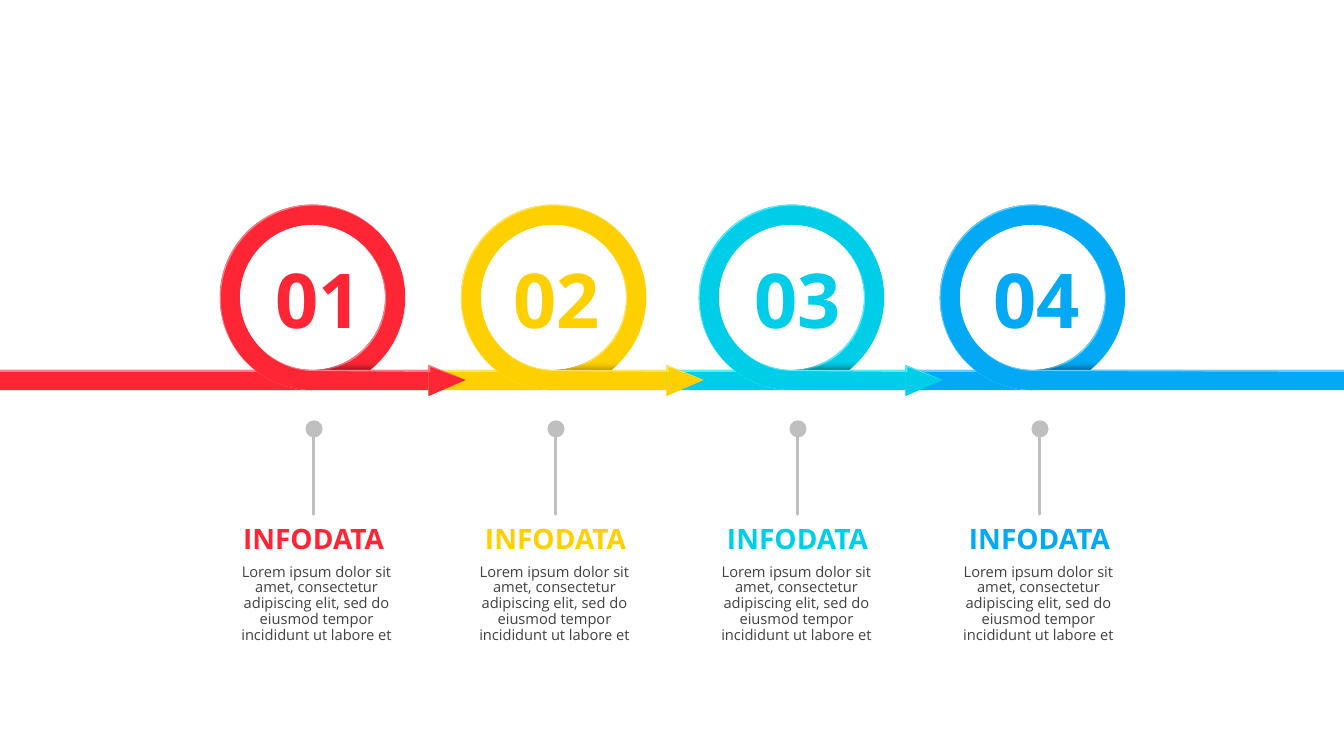
from dataclasses import dataclass
from math import cos, radians, sin, tan

from lxml import etree
from pptx import Presentation
from pptx.dml.color import RGBColor
from pptx.enum.shapes import MSO_CONNECTOR, MSO_SHAPE
from pptx.enum.text import MSO_AUTO_SIZE, PP_ALIGN
from pptx.oxml.ns import qn
from pptx.util import Inches, Pt

STRAIGHT = MSO_CONNECTOR.STRAIGHT
OVAL = MSO_SHAPE.OVAL
CENTER = PP_ALIGN.CENTER
GROW = MSO_AUTO_SIZE.SHAPE_TO_FIT_TEXT


@dataclass(frozen=True)
class Theme:
    font: str = "Open Sans"
    gray: str = "BFBFBF"
    ink: str = "414042"
    number: float = 54
    head: float = 20
    body: float = 10.5
    stem: float = 2.38


@dataclass(frozen=True)
class Step:
    label: str
    color: str
    light: str
    shade: str
    alpha: int
    left: float
    mid: float
    right: float
    num_x: float
    body_x: float


STEPS = [
    Step("01", "FE2635", "FE7D86", "000000", 40, 0, 3.1, 4.25, 3.16, 3.14),
    Step("02", "FFD000", "FFE366", "BF9C00", 100, 4.25, 5.49, 6.61, 5.52, 5.5),
    Step("03", "00CEE8", "58ECFF", "000000", 40, 6.61, 7.85, 8.98, 7.91, 7.9),
    Step("04", "03A9F4", "63CDFD", "000000", 40, 8.98, 10.24, 13.33, 10.28, 10.3),
]
BODY = ("Lorem ipsum dolor sit amet, consectetur adipiscing elit, "
        "sed do eiusmod tempor incididunt ut labore et")

LOOP_Y, OUTER, INNER = 2.95, 0.92, 0.72
TOP, BASE, EDGE = 3.67, 3.87, 3.69
SHIFT = 0.01
PIN_X, PITCH = 3.11, 2.4


def arc(x, y, radius, start, end):
    """Start point, then Bezier triples marked True, split at the quadrants.

    Angles are in degrees, clockwise from the right.
    """
    low, high = sorted((start, end))
    cuts = [a for a in range(-360, 541, 90) if low < a < high]
    turns = [radians(a) for a in sorted([start, *cuts, end], reverse=end < start)]
    points = [(x + radius * cos(turns[0]), y + radius * sin(turns[0]))]
    for a, b in zip(turns, turns[1:]):
        k = 4 / 3 * tan((b - a) / 4)
        bend = [(cos(a) - k * sin(a), sin(a) + k * cos(a)),
                (cos(b) + k * sin(b), sin(b) - k * cos(b)),
                (cos(b), sin(b))]
        points += [(x + radius * u, y + radius * v, True) for u, v in bend]
    return points


def curve(shape, paths):
    """Join the segments marked as Bezier triples into real curves."""
    lines = list(shape._element.iter(qn("a:lnTo")))
    points = [point for path in paths for point in path[1:]]
    marked = [line for line, point in zip(lines, points) if len(point) == 3]
    for i in range(0, len(marked), 3):
        bend = marked[i].makeelement(qn("a:cubicBezTo"))
        marked[i].addprevious(bend)
        for line in marked[i:i + 3]:
            bend.append(line[0])
            line.getparent().remove(line)


def set_alpha(stop, percent):
    color = stop.color._color._xClr
    etree.SubElement(color, qn("a:alpha")).set("val", str(percent * 1000))


class Board:
    def __init__(self, slide, theme):
        self.shapes = slide.shapes
        self.theme = theme

    def paint(self, shape, color):
        shape.shadow.inherit = False
        shape.line.fill.background()
        shape.fill.solid()
        shape.fill.fore_color.rgb = RGBColor.from_string(color)

    def outline(self, color, *paths):
        """Draw closed paths, given in inches, as one filled shape."""
        pen = None
        for path in paths:
            spots = [(Inches(point[0]), Inches(point[1])) for point in path]
            if pen is None:
                pen = self.shapes.build_freeform(*spots[0], scale=1.0)
            else:
                pen.move_to(*spots[0])
            pen.add_line_segments(spots[1:], close=True)
        shape = pen.convert_to_shape()
        curve(shape, paths)
        self.paint(shape, color)
        return shape

    def ribbon(self, step):
        mid, left, right = step.mid, step.left, step.right
        self.outline(step.color, [(left, TOP), *arc(mid, LOOP_Y, OUTER, 128.5, 90),
                                  (left, BASE)])
        self.outline(step.light, [(left, TOP), (mid - 0.57, TOP),
                                  (mid - 0.55, EDGE), (left, EDGE)])
        if step is not STEPS[-1]:
            self.arrow(step)
        self.outline(step.color,
                     [*arc(mid, LOOP_Y, OUTER, 51.5, -270), (right, BASE), (right, TOP)],
                     arc(mid, LOOP_Y, INNER, 90, 450))
        self.shine(step)
        self.fold(step)

    def arrow(self, step):
        x = step.right
        tip = (x + 0.37, 3.77)
        self.outline(step.color, [(x, 3.62), tip, (x, 3.93)])
        self.outline(step.light, [(x, EDGE), (x + 0.02, EDGE), (x + 0.02, 3.64),
                                  tip, (x, 3.62)])

    def shine(self, step):
        """Light edges along the inside and outside of the loop."""
        mid, near = step.mid, step.mid + SHIFT
        low = LOOP_Y + SHIFT
        self.outline(step.light, [*arc(near, low, INNER, 79, -45),
                                  *arc(mid, LOOP_Y, INNER, -45, 135),
                                  *arc(near, low, INNER, 135, 90),
                                  (step.right, EDGE), (step.right, TOP)])
        self.outline(step.light, [*arc(near, low, OUTER, 135, 315),
                                  *arc(mid, LOOP_Y, OUTER, 315, 135)])

    def fold(self, step):
        """Shadow where the loop passes behind the ribbon."""
        shape = self.outline(step.color, [*arc(step.mid, LOOP_Y, OUTER, 51.5, 31.5),
                                          *arc(step.mid, LOOP_Y, INNER, 41.5, 90)])
        shape.fill.gradient()
        shape.fill.gradient_angle = 270
        marks = [(0.62, step.color, 0), (1, step.shade, step.alpha)]
        for stop, (place, color, alpha) in zip(shape.fill.gradient_stops, marks):
            stop.position = place
            stop.color.rgb = RGBColor.from_string(color)
            set_alpha(stop, alpha)

    def pin(self, x):
        stem = self.shapes.add_connector(STRAIGHT, Inches(x), Inches(4.26),
                                         Inches(x), Inches(5.1))
        stem.line.color.rgb = RGBColor.from_string(self.theme.gray)
        stem.line.width = Pt(self.theme.stem)
        stem.line._get_or_add_ln().set("cap", "rnd")
        etree.SubElement(stem._element.spPr, qn("a:effectLst"))
        dot = self.shapes.add_shape(OVAL, Inches(x - 0.08), Inches(4.17),
                                    Inches(0.17), Inches(0.17))
        self.paint(dot, self.theme.gray)

    def text(self, words, x, y, width, height, size, color, bold=True):
        """Add text centred on x; bold labels fit tightly, others wrap."""
        box = self.shapes.add_textbox(Inches(x - width / 2), Inches(y),
                                      Inches(width), Inches(height))
        frame = box.text_frame
        frame.text = words
        frame.word_wrap = not bold
        line = frame.paragraphs[0]
        line.alignment = CENTER
        if bold:
            frame.auto_size = GROW
            frame.margin_left = frame.margin_right = 0
            frame.margin_top = frame.margin_bottom = 0
        else:
            line.line_spacing = 0.9
        font = line.runs[0].font
        font.name = self.theme.font
        font.size = Pt(size)
        font.bold = bold
        font.color.rgb = RGBColor.from_string(color)


def main():
    deck = Presentation()
    deck.slide_width, deck.slide_height = Inches(13.33), Inches(7.5)
    theme = Theme()
    board = Board(deck.slides.add_slide(deck.slide_layouts[6]), theme)
    for step in reversed(STEPS):
        board.ribbon(step)
    for i, step in enumerate(STEPS):
        x = PIN_X + i * PITCH
        board.pin(x)
        board.text(step.label, step.num_x, 2.51, 0.87, 0.91, theme.number, step.color)
        board.text("INFODATA", x, 5.17, 1.41, 0.34, theme.head, step.color)
        board.text(BODY, step.body_x, 5.55, 1.94, 1.06, theme.body, theme.ink, bold=False)
    deck.save("out.pptx")


if __name__ == "__main__":
    main()
